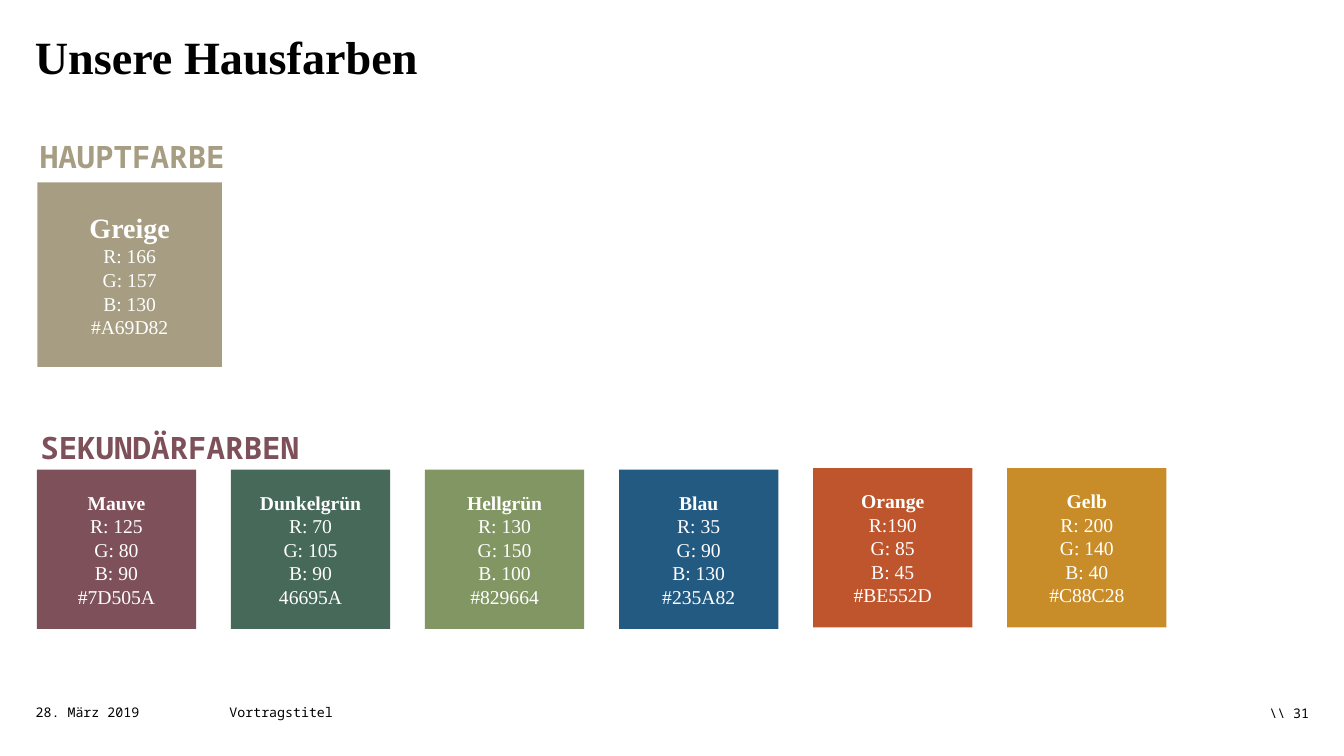
import pptx
import pptx.util
import pptx.dml.color
import pptx.enum.text
import pptx.enum.shapes

ALIGN = pptx.enum.text.PP_ALIGN
ANCHOR = pptx.enum.text.MSO_ANCHOR
FIT = pptx.enum.text.MSO_AUTO_SIZE
SERIF = "Times New Roman"
MONO = "Noto Sans Mono"


def paint(code):
    return pptx.dml.color.RGBColor.from_string(code)


class Deck:
    def __init__(self, wide, high):
        self.show = pptx.Presentation()
        self.show.slide_width = pptx.util.Inches(wide)
        self.show.slide_height = pptx.util.Inches(high)
        self.page = self.show.slides.add_slide(self.show.slide_layouts[6])

    def area(self, left, top, width, height):
        wide, high = self.show.slide_width, self.show.slide_height
        pairs = ((left, wide), (top, high), (width, wide), (height, high))
        return [round(share * full / 100) for share, full in pairs]

    def letter(self, para, text, size, hue, font, bold=False, align=ALIGN.LEFT):
        para.alignment = align
        run = para.add_run()
        run.text = text
        look = {"size": pptx.util.Pt(size), "name": font, "bold": bold}
        for key, value in look.items():
            setattr(run.font, key, value)
        run.font.color.rgb = paint(hue)

    def label(self, box, text, size, hue, font, bold=False,
              align=ALIGN.LEFT, space=1.0, **extra):
        frame = self.page.shapes.add_textbox(*self.area(*box)).text_frame
        form = {"word_wrap": True, **extra}
        for key, value in form.items():
            setattr(frame, key, value)
        para = frame.paragraphs[0]
        para.line_spacing = space
        self.letter(para, text, size, hue, font, bold, align)

    def swatch(self, box, hue, name, lines, size=28):
        kind = pptx.enum.shapes.MSO_SHAPE.RECTANGLE
        tile = self.page.shapes.add_shape(kind, *self.area(*box))
        tile.shadow.inherit = False
        tile.fill.solid()
        tile.fill.fore_color.rgb = paint(hue)
        tile.line.fill.background()
        frame = tile.text_frame
        frame.word_wrap = True
        frame.vertical_anchor = ANCHOR.MIDDLE
        self.letter(frame.paragraphs[0], name, size, "FFFFFF", SERIF, True, ALIGN.CENTER)
        for line in lines:
            self.letter(frame.add_paragraph(), line, 28, "FFFFFF", SERIF, False, ALIGN.CENTER)


def main():
    deck = Deck(26.66, 15)
    flush = dict.fromkeys(
        ("margin_left", "margin_top", "margin_right", "margin_bottom"), 0)

    deck.label((2.59, 4.6, 94.82, 19.53), "Unsere Hausfarben", 66, "000000",
               SERIF, True, space=0.9, **flush)

    feet = [
        ((2.66, 89.93, 8.59, 5.33), "28. März 2019", ALIGN.LEFT),
        ((17.07, 89.93, 62.45, 5.33), "Vortragstitel", ALIGN.LEFT),
        ((90.02, 90.07, 7.39, 5.33), "\\\\ 31", ALIGN.RIGHT),
    ]
    for box, text, align in feet:
        deck.label(box, text, 19, "000000", MONO, align=align,
                   vertical_anchor=ANCHOR.BOTTOM, **flush)

    heads = [
        ((2.59, 17.93, 19.99, 5.6), "HAUPTFARBE", "A69D82"),
        ((2.63, 56.4, 30.38, 5.6), "SEKUNDÄRFARBEN", "7D505A"),
    ]
    for box, text, hue in heads:
        deck.label(box, text, 44, hue, MONO, True, auto_size=FIT.SHAPE_TO_FIT_TEXT)

    deck.swatch((2.78, 24.13, 13.73, 24.4), "A69D82", "Greige",
                ["R: 166", "G: 157", "B: 130", "#A69D82"], 40)

    low, high = 62.13, 61.93
    tones = [
        ("7D505A", low, "Mauve", ["R: 125", "G: 80", "B: 90", "#7D505A"]),
        ("46695A", low, "Dunkelgrün", ["R: 70", "G: 105", "B: 90", "46695A"]),
        ("829664", low, "Hellgrün", ["R: 130", "G: 150", "B. 100", "#829664"]),
        ("235A82", low, "Blau", ["R: 35", "G: 90", "B: 130", "#235A82"]),
        ("BE552D", high, "Orange", ["R:190", "G: 85", "B: 45", "#BE552D"]),
        ("C88C28", high, "Gelb", ["R: 200", "G: 140", "B: 40", "#C88C28"]),
    ]
    for col, (hue, top, name, lines) in enumerate(tones):
        deck.swatch((2.74 + col * 14.44, top, 11.85, 21.07), hue, name, lines)

    deck.show.save("out.pptx")


if __name__ == "__main__":
    main()
